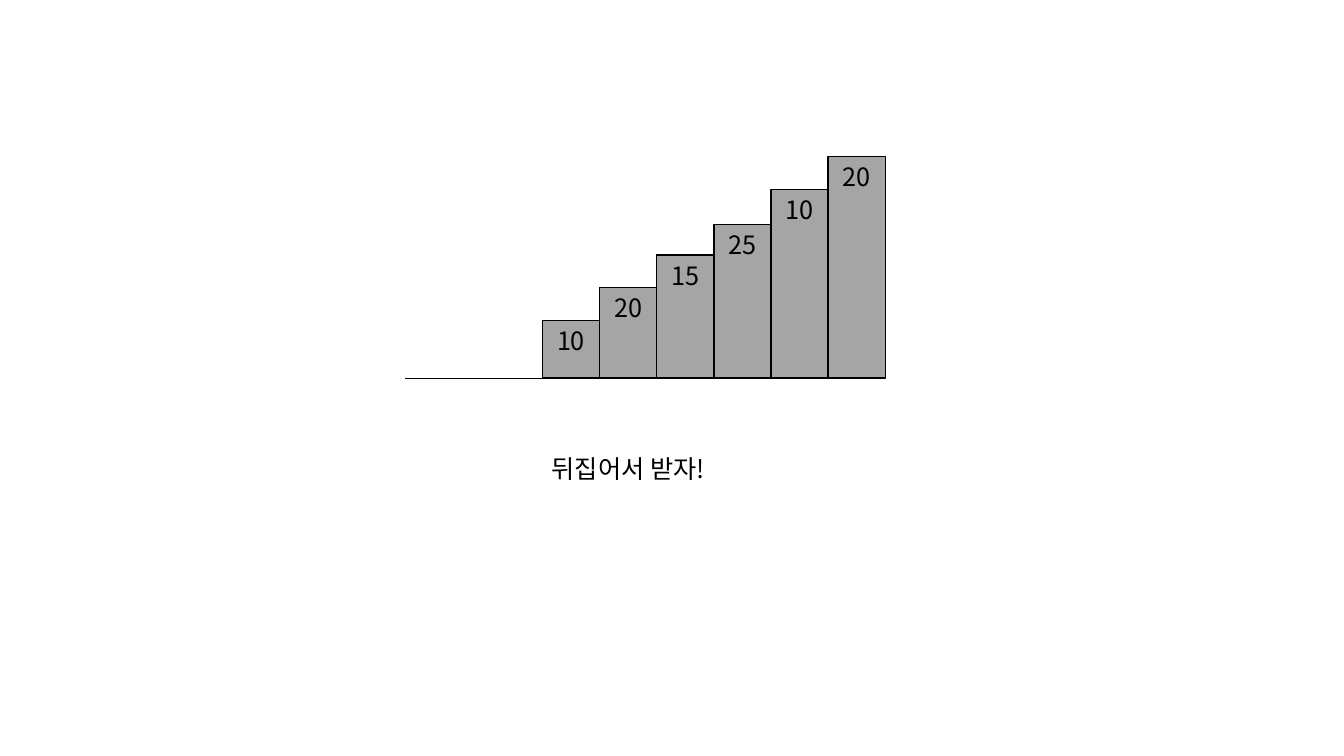
from lxml import etree
from pptx import Presentation
from pptx.dml.color import RGBColor
from pptx.enum.shapes import MSO_CONNECTOR, MSO_SHAPE
from pptx.enum.text import MSO_ANCHOR, MSO_AUTO_SIZE, PP_ALIGN
from pptx.oxml.ns import qn
from pptx.util import Inches, Pt

RECTANGLE = MSO_SHAPE.RECTANGLE
STRAIGHT = MSO_CONNECTOR.STRAIGHT
TOP = MSO_ANCHOR.TOP
CENTER = PP_ALIGN.CENTER
GROW = MSO_AUTO_SIZE.SHAPE_TO_FIT_TEXT

COLORS = {"bar": "A5A5A5", "ink": "000000"}
FONT = "Noto Sans CJK KR"
STAIR_LEFT, STAIR_RIGHT, BASELINE = 5.38, 8.78, 3.75
ROW = 0.1
STEPS = [("10", 5.7), ("20", 9), ("15", 12.2), ("25", 15.2), ("10", 18.7), ("20", 22)]
COLUMN = (STAIR_RIGHT - STAIR_LEFT) / len(STEPS)


class StairPage:
    """Draws on one slide, on a grid that starts where the stair meets the baseline."""

    def __init__(self, page):
        self.page = page

    def color(self, name):
        return RGBColor.from_string(COLORS[name])

    def point(self, column, row):
        return Inches(STAIR_LEFT + column * COLUMN), Inches(BASELINE + row * ROW)

    def area(self, column, row, columns, rows):
        return *self.point(column, row), Inches(columns * COLUMN), Inches(rows * ROW)

    def label(self, shape, text):
        para = shape.text_frame.paragraphs[0]
        para.alignment = CENTER
        span = para.add_run()
        span.text = text
        span.font.size = Pt(18)
        span.font.name = FONT
        span.font.color.rgb = self.color("ink")
        east_asian = etree.SubElement(span.font._element, qn("a:ea"))
        east_asian.set("typeface", FONT)

    def stroke(self, line, width):
        line.color.rgb = self.color("ink")
        line.width = Pt(width)

    def bar(self, column, rows, text):
        bar = self.page.shapes.add_shape(RECTANGLE, *self.area(column, -rows, 1, rows))
        bar.shadow.inherit = False
        bar.fill.solid()
        bar.fill.fore_color.rgb = self.color("bar")
        self.stroke(bar.line, 1)
        bar.text_frame.vertical_anchor = TOP
        self.label(bar, text)

    def baseline(self, first, last):
        line = self.page.shapes.add_connector(
            STRAIGHT, *self.point(first, 0), *self.point(last, 0))
        self.stroke(line.line, 0.5)
        etree.SubElement(line._element.spPr, qn("a:effectLst"))

    def caption(self, column, row, columns, rows, text):
        box = self.page.shapes.add_textbox(*self.area(column, row, columns, rows))
        box.text_frame.word_wrap = False
        box.text_frame.auto_size = GROW
        self.label(box, text)


def main():
    deck = Presentation()
    deck.slide_width, deck.slide_height = Inches(13.33), Inches(7.5)
    stair = StairPage(deck.slides.add_slide(deck.slide_layouts[6]))
    for column, (text, rows) in enumerate(STEPS):
        stair.bar(column, rows, text)
    stair.baseline(-2.4, len(STEPS))
    stair.caption(-0.16, 7, 3.32, 4, "뒤집어서 받자!")
    deck.save("out.pptx")


if __name__ == "__main__":
    main()
